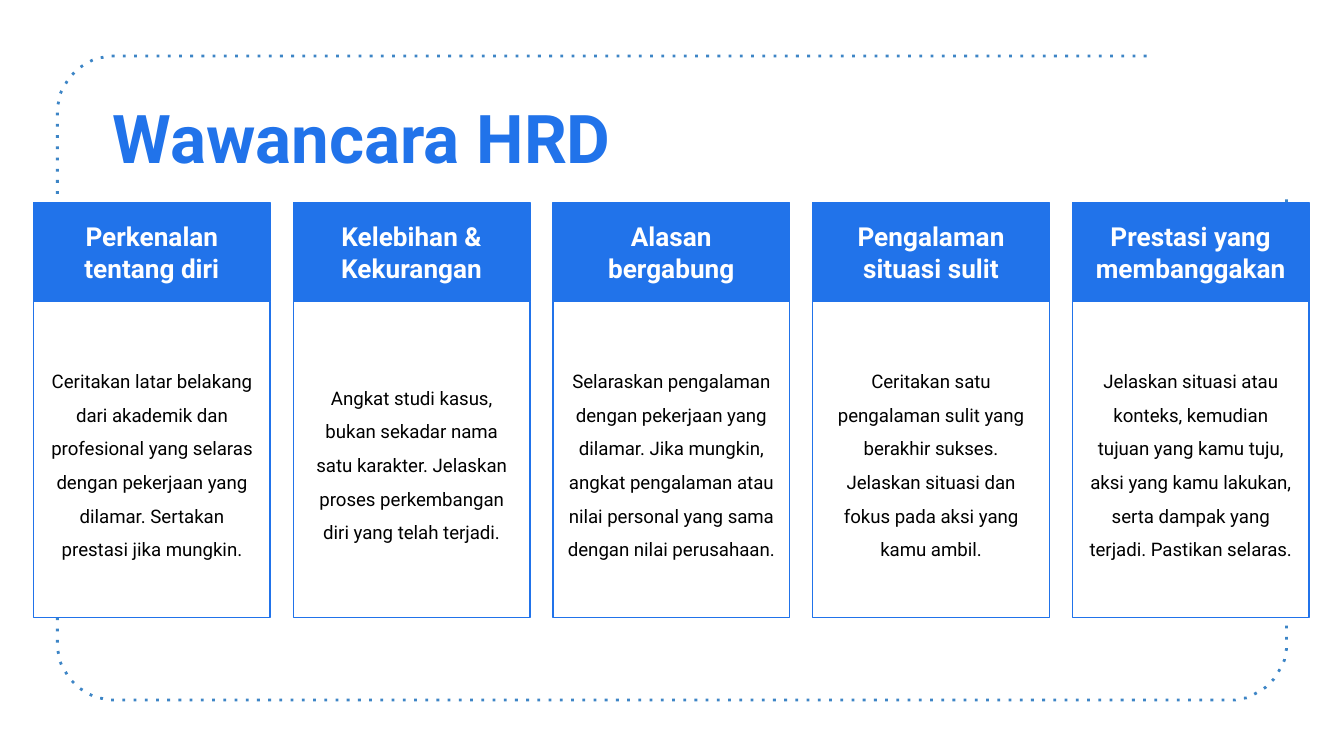
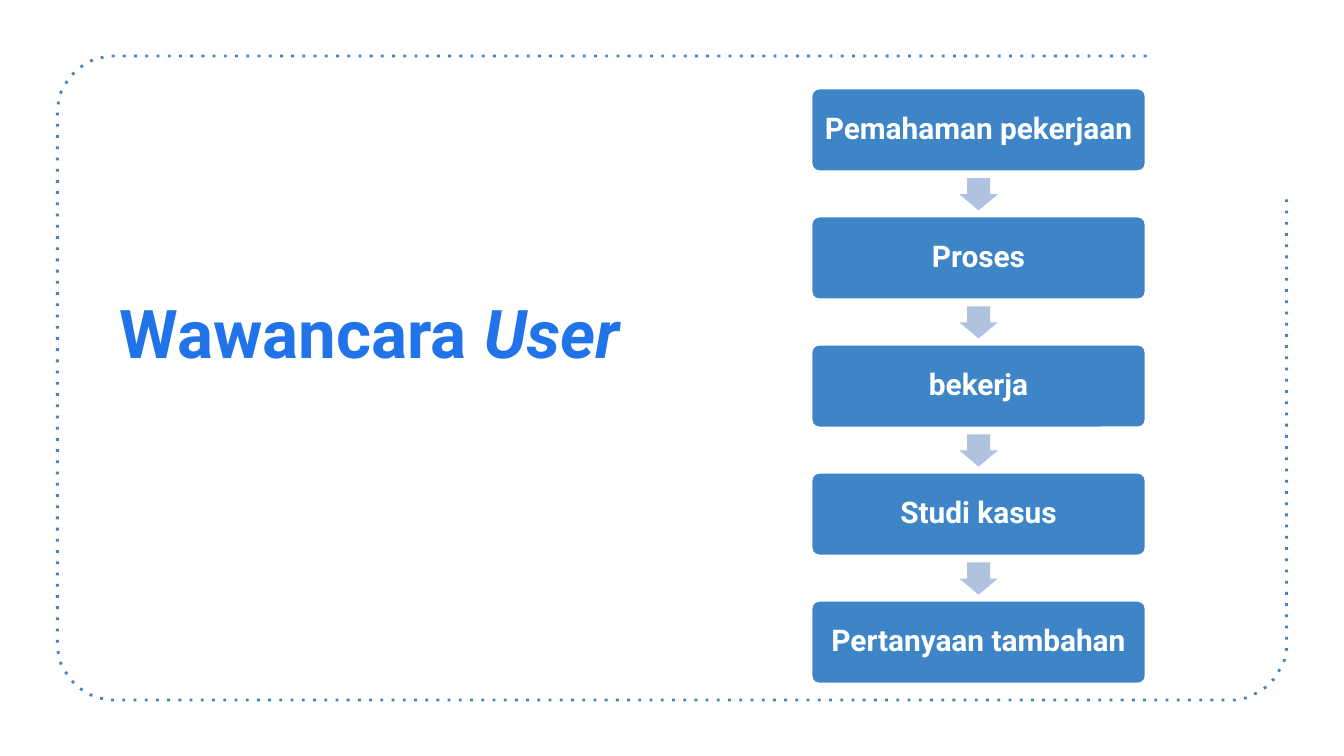
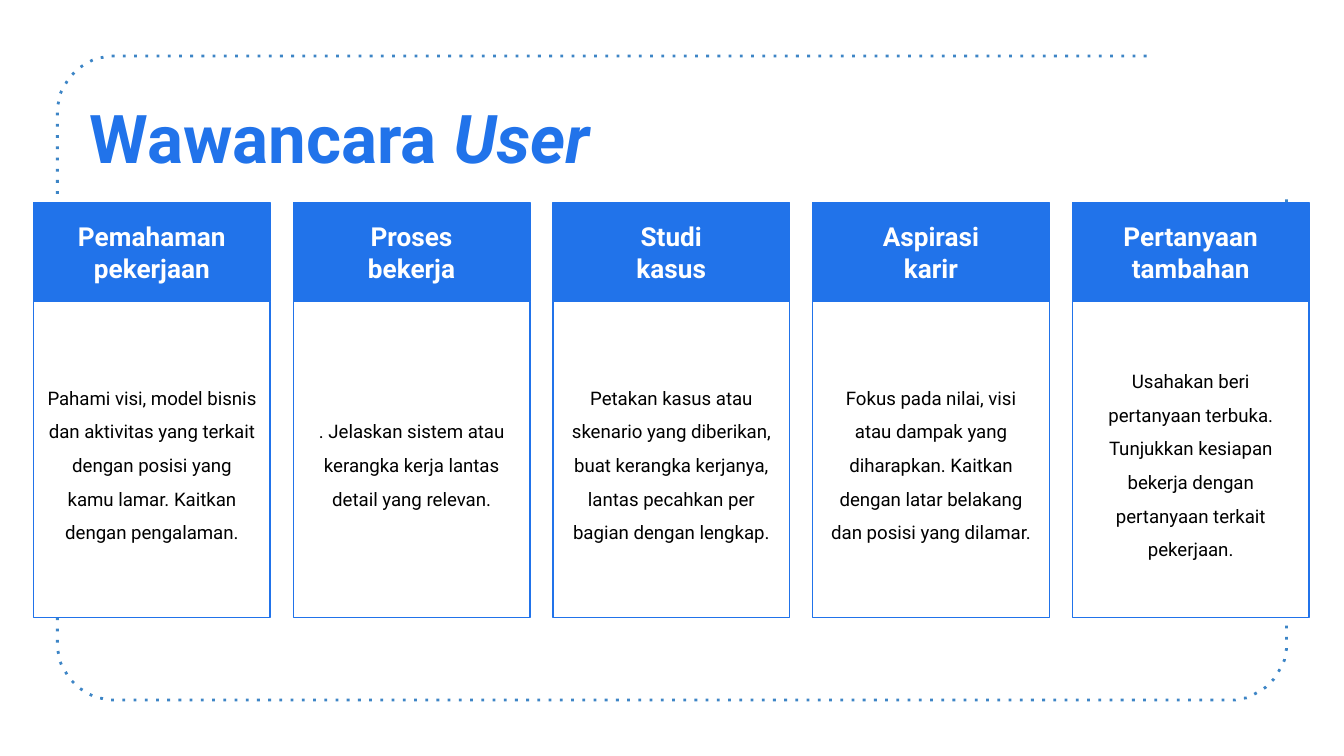
from dataclasses import dataclass
from math import cos, radians, sin

from pptx import Presentation
from pptx.dml.color import RGBColor
from pptx.enum.shapes import MSO_SHAPE
from pptx.enum.dml import MSO_LINE
from pptx.enum.text import MSO_ANCHOR, MSO_AUTO_SIZE, PP_ALIGN
from pptx.oxml.ns import qn
from pptx.shapes.autoshape import Shape
from pptx.slide import Slide
from pptx.text.text import TextFrame
from pptx.util import Emu, Pt

PX = 914400 / 192
SLIDE_WIDTH, SLIDE_HEIGHT = 1920, 1080

COLORS = {
    "accent": "2173EA",
    "steel": "3D85C6",
    "arrow": "AFC2DF",
    "white": "FFFFFF",
    "black": "000000",
}


@dataclass(frozen=True)
class Box:
    left: int
    top: int
    width: int
    height: int

    def emu(self) -> tuple[Emu, ...]:
        lengths = (self.left, self.top, self.width, self.height)
        return tuple(Emu(round(length * PX)) for length in lengths)


@dataclass(frozen=True)
class TextStyle:
    size: int
    color: str
    bold: bool = True
    align: PP_ALIGN = PP_ALIGN.CENTER
    anchor: MSO_ANCHOR = MSO_ANCHOR.MIDDLE
    line_spacing: float = 1.0
    inset: int = 19


@dataclass(frozen=True)
class Card:
    heading: str
    body: str


TITLE = TextStyle(36, "accent", align=PP_ALIGN.LEFT, anchor=MSO_ANCHOR.TOP)
CARD_HEADING = TextStyle(14, "white")
CARD_BODY = TextStyle(10, "black", bold=False, line_spacing=1.5)
STEP_LABEL = TextStyle(16, "white", line_spacing=0.9, inset=13)

TITLE_WIDTH, TITLE_HEIGHT = 1142, 156

FRAME_LEFT, FRAME_TOP, FRAME_RIGHT, FRAME_BOTTOM = 82, 80, 1838, 1000
FRAME_RADIUS = 81
FRAME_START_X, FRAME_END_Y = 1638, 280
ARC_STEPS = 16

CARD_LEFT, CARD_TOP, CARD_WIDTH, CARD_PITCH = 48, 289, 338, 371
HEADING_HEIGHT, BODY_HEIGHT = 142, 451

STEP_LEFT, STEP_TOP, STEP_WIDTH, STEP_HEIGHT, STEP_PITCH = 1158, 125, 480, 121, 183
LABEL_MARGIN = 4
ARROW_LENGTH, ARROW_BREADTH = 46, 55

HRD_CARDS = [
    Card("Perkenalan tentang diri",
         "Ceritakan latar belakang dari akademik dan profesional yang selaras "
         "dengan pekerjaan yang dilamar. Sertakan prestasi jika mungkin."),
    Card("Kelebihan & Kekurangan",
         "Angkat studi kasus, bukan sekadar nama satu karakter. Jelaskan "
         "proses perkembangan diri yang telah terjadi."),
    Card("Alasan bergabung",
         "Selaraskan pengalaman dengan pekerjaan yang dilamar. Jika mungkin, "
         "angkat pengalaman atau nilai personal yang sama dengan nilai perusahaan."),
    Card("Pengalaman situasi sulit",
         "Ceritakan satu pengalaman sulit yang berakhir sukses. Jelaskan "
         "situasi dan fokus pada aksi yang kamu ambil."),
    Card("Prestasi yang membanggakan",
         "Jelaskan situasi atau konteks, kemudian tujuan yang kamu tuju, aksi "
         "yang kamu lakukan, serta dampak yang terjadi. Pastikan selaras."),
]

USER_CARDS = [
    Card("Pemahaman pekerjaan",
         "Pahami visi, model bisnis dan aktivitas yang terkait dengan posisi "
         "yang kamu lamar. Kaitkan dengan pengalaman."),
    Card("Proses\nbekerja",
         ". Jelaskan sistem atau kerangka kerja lantas detail yang relevan."),
    Card("Studi\nkasus",
         "Petakan kasus atau skenario yang diberikan, buat kerangka kerjanya, "
         "lantas pecahkan per bagian dengan lengkap."),
    Card("Aspirasi\nkarir",
         "Fokus pada nilai, visi atau dampak yang diharapkan. Kaitkan dengan "
         "latar belakang dan posisi yang dilamar."),
    Card("Pertanyaan tambahan",
         "Usahakan beri pertanyaan terbuka. Tunjukkan kesiapan bekerja dengan "
         "pertanyaan terkait pekerjaan."),
]

USER_STEPS = ["Pemahaman pekerjaan", "Proses", "bekerja", "Studi kasus",
              "Pertanyaan tambahan"]


def rgb(name: str) -> RGBColor:
    return RGBColor.from_string(COLORS[name])


def write_text(frame: TextFrame, text: str, style: TextStyle, italic: str = "") -> None:
    """Fill the frame, one paragraph a line, with an italic run at the end."""
    inset = Emu(round(style.inset * PX))
    frame_format = {
        "word_wrap": True, "vertical_anchor": style.anchor,
        "margin_left": inset, "margin_right": inset,
        "margin_top": inset, "margin_bottom": inset,
    }
    for name, value in frame_format.items():
        setattr(frame, name, value)
    frame.text = text
    if italic:
        run = frame.paragraphs[-1].add_run()
        run.text = italic
        run.font.italic = True
    font_format = {"name": "Roboto", "size": Pt(style.size), "bold": style.bold}
    for paragraph in frame.paragraphs:
        paragraph.alignment = style.align
        paragraph.line_spacing = style.line_spacing
        for run in paragraph.runs:
            for name, value in font_format.items():
                setattr(run.font, name, value)
            run.font.color.rgb = rgb(style.color)


def add_filled_shape(slide: Slide, kind: MSO_SHAPE, box: Box, fill: str,
                     line: str = "", line_width: float = 0.75) -> Shape:
    shape = slide.shapes.add_shape(kind, *box.emu())
    shape.shadow.inherit = False
    shape.fill.solid()
    shape.fill.fore_color.rgb = rgb(fill)
    if line:
        shape.line.color.rgb = rgb(line)
        shape.line.width = Pt(line_width)
    else:
        shape.line.fill.background()
    return shape


def arc_points(center_x: int, center_y: int, start: int) -> list[tuple[float, float]]:
    """Points of a quarter turn, counterclockwise on screen from start degrees."""
    angles = [radians(start + 90 * step / ARC_STEPS) for step in range(ARC_STEPS + 1)]
    return [(center_x + FRAME_RADIUS * cos(angle), center_y - FRAME_RADIUS * sin(angle))
            for angle in angles]


def add_dotted_frame(slide: Slide) -> None:
    inner_left, inner_right = FRAME_LEFT + FRAME_RADIUS, FRAME_RIGHT - FRAME_RADIUS
    inner_top, inner_bottom = FRAME_TOP + FRAME_RADIUS, FRAME_BOTTOM - FRAME_RADIUS
    points = [
        *arc_points(inner_left, inner_top, 90),
        *arc_points(inner_left, inner_bottom, 180),
        *arc_points(inner_right, inner_bottom, 270),
        (FRAME_RIGHT, FRAME_END_Y),
    ]
    builder = slide.shapes.build_freeform(FRAME_START_X, FRAME_TOP, scale=PX)
    builder.add_line_segments(points, close=False)
    shape = builder.convert_to_shape()
    shape.shadow.inherit = False
    shape.fill.background()
    shape.line.color.rgb = rgb("steel")
    shape.line.width = Pt(1.5)
    shape.line.dash_style = MSO_LINE.ROUND_DOT
    shape._element.spPr.find(".//" + qn("a:prstDash")).set("val", "dot")


def add_title(slide: Slide, left: int, top: int, text: str, italic: str = "") -> None:
    box = Box(left, top, TITLE_WIDTH, TITLE_HEIGHT)
    frame = slide.shapes.add_textbox(*box.emu()).text_frame
    write_text(frame, text, TITLE, italic)
    frame.auto_size = MSO_AUTO_SIZE.SHAPE_TO_FIT_TEXT


def add_cards(slide: Slide, cards: list[Card]) -> None:
    for index, card in enumerate(cards):
        left = CARD_LEFT + index * CARD_PITCH
        heading_box = Box(left, CARD_TOP, CARD_WIDTH, HEADING_HEIGHT)
        body_box = Box(left, CARD_TOP + HEADING_HEIGHT, CARD_WIDTH, BODY_HEIGHT)
        for box, fill, text, style in (
            (heading_box, "accent", card.heading, CARD_HEADING),
            (body_box, "white", card.body, CARD_BODY),
        ):
            shape = add_filled_shape(slide, MSO_SHAPE.RECTANGLE, box, fill, "accent")
            write_text(shape.text_frame, text, style)


def add_steps(slide: Slide, steps: list[str]) -> None:
    """Stack the steps downwards with an arrow in each gap."""
    for index, step in enumerate(steps):
        top = STEP_TOP + index * STEP_PITCH
        box = Box(STEP_LEFT, top, STEP_WIDTH, STEP_HEIGHT)
        shape = add_filled_shape(slide, MSO_SHAPE.ROUNDED_RECTANGLE, box,
                                 "steel", "white", 2)
        shape.adjustments[0] = 0.1
        label_box = Box(STEP_LEFT + LABEL_MARGIN, top + LABEL_MARGIN,
                        STEP_WIDTH - 2 * LABEL_MARGIN, STEP_HEIGHT - 2 * LABEL_MARGIN)
        label = slide.shapes.add_textbox(*label_box.emu())
        write_text(label.text_frame, step, STEP_LABEL)
        if index < len(steps) - 1:
            gap_middle = top + (STEP_HEIGHT + STEP_PITCH) // 2
            arrow_box = Box(STEP_LEFT + (STEP_WIDTH - ARROW_LENGTH) // 2,
                            gap_middle - ARROW_BREADTH // 2,
                            ARROW_LENGTH, ARROW_BREADTH)
            arrow = add_filled_shape(slide, MSO_SHAPE.RIGHT_ARROW, arrow_box, "arrow")
            arrow.adjustments[0] = 0.6
            arrow.adjustments[1] = 0.5
            arrow.rotation = 90


def add_framed_slide(presentation: Presentation) -> Slide:
    slide = presentation.slides.add_slide(presentation.slide_layouts[6])
    slide.background.fill.solid()
    slide.background.fill.fore_color.rgb = rgb("white")
    add_dotted_frame(slide)
    return slide


def main() -> None:
    presentation = Presentation()
    presentation.slide_width = Emu(round(SLIDE_WIDTH * PX))
    presentation.slide_height = Emu(round(SLIDE_HEIGHT * PX))

    hrd_slide = add_framed_slide(presentation)
    add_title(hrd_slide, 142, 119, "Wawancara HRD")
    add_cards(hrd_slide, HRD_CARDS)

    steps_slide = add_framed_slide(presentation)
    add_title(steps_slide, 152, 397, "Wawancara ", italic="User")
    add_steps(steps_slide, USER_STEPS)

    user_slide = add_framed_slide(presentation)
    add_title(user_slide, 109, 119, "Wawancara ", italic="User")
    add_cards(user_slide, USER_CARDS)

    presentation.save("out.pptx")


if __name__ == "__main__":
    main()
